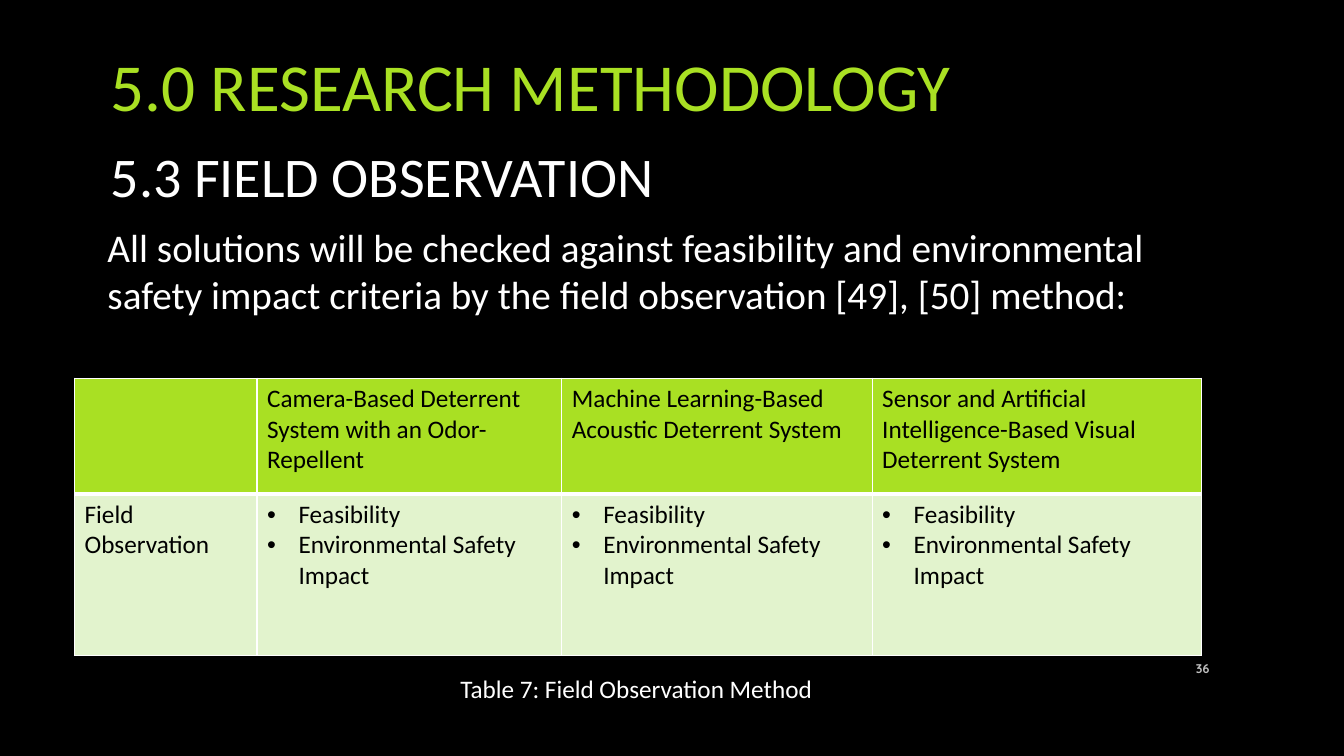
import dataclasses
import pptx
import pptx.dml.color
import pptx.enum.text
import pptx.oxml
import pptx.oxml.ns
import pptx.util

Cm = pptx.util.Cm
Pt = pptx.util.Pt
Align = pptx.enum.text.PP_ALIGN
Anchor = pptx.enum.text.MSO_ANCHOR
Fit = pptx.enum.text.MSO_AUTO_SIZE


@dataclasses.dataclass(frozen=True)
class Theme:
    font: str = "Calibri"
    num_font: str = "Quicksand"
    black: str = "000000"
    white: str = "FFFFFF"
    lime: str = "A9E023"
    pale: str = "E2F3CD"
    gray: str = "BFBFBF"
    title: int = 48
    head: int = 40
    body: int = 28
    small: int = 18
    num: int = 9
    thin: int = 1
    thick: int = 3


def rgb(color):
    return pptx.dml.color.RGBColor.from_string(color)


def add_xml(parent, text):
    space = pptx.oxml.ns.nsdecls("a")
    parent.append(pptx.oxml.parse_xml(text.replace(" ", f" {space} ", 1)))


class Page:
    def __init__(self, deck, theme):
        self.theme = theme
        self.slide = deck.slides.add_slide(deck.slide_layouts[5])
        back = self.slide.background.fill
        back.solid()
        back.fore_color.rgb = rgb(theme.black)

    def add_run(self, para, text, size, color, font=None, bold=False):
        run = para.add_run()
        run.text = text
        run.font.name = font or self.theme.font
        run.font.size = Pt(size)
        run.font.bold = bold
        run.font.color.rgb = rgb(color)

    def title(self, text, left, top, width, height):
        shape = self.slide.shapes.title
        shape.left, shape.top = Cm(left), Cm(top)
        shape.width, shape.height = Cm(width), Cm(height)
        frame = shape.text_frame
        frame.auto_size = Fit.NONE
        frame.vertical_anchor = Anchor.MIDDLE
        para = frame.paragraphs[0]
        para.alignment = Align.LEFT
        self.add_run(para, text, self.theme.title, self.theme.lime)

    def text(self, text, box, size, wrap=True, fit=Fit.SHAPE_TO_FIT_TEXT):
        frame = self.slide.shapes.add_textbox(*map(Cm, box)).text_frame
        frame.word_wrap = wrap
        frame.auto_size = fit
        self.add_run(frame.paragraphs[0], text, size, self.theme.white)

    def number(self, text, box):
        frame = self.slide.shapes.add_textbox(*map(Cm, box)).text_frame
        frame.word_wrap = True
        frame.vertical_anchor = Anchor.MIDDLE
        para = frame.paragraphs[0]
        para.alignment = Align.RIGHT
        theme = self.theme
        self.add_run(para, text, theme.num, theme.gray, theme.num_font, True)

    def bullet(self, para):
        props = para._p.get_or_add_pPr()
        props.set("marL", str(Cm(0.79)))
        props.set("indent", str(-Cm(0.79)))
        add_xml(props, '<a:buFont typeface="Arial"/>')
        add_xml(props, '<a:buChar char="•"/>')

    def border(self, cell, top, bottom):
        props = cell._tc.get_or_add_tcPr()
        thin = self.theme.thin
        for side, width in zip("LRTB", (thin, thin, top, bottom)):
            add_xml(props, f'<a:ln{side} w="{Pt(width)}"><a:solidFill>'
                    f'<a:srgbClr val="{self.theme.white}"/>'
                    f'</a:solidFill></a:ln{side}>')

    def cell(self, cell, lines, fill, top, bottom):
        self.border(cell, top, bottom)
        cell.fill.solid()
        cell.fill.fore_color.rgb = rgb(fill)
        frame = cell.text_frame
        for i, line in enumerate(lines):
            para = frame.add_paragraph() if i else frame.paragraphs[0]
            if len(lines) > 1:
                self.bullet(para)
            self.add_run(para, line, self.theme.small, self.theme.black)

    def table(self, rows, left, top, widths, heights):
        grid = self.slide.shapes.add_table(
            len(rows), len(widths), Cm(left), Cm(top),
            Cm(sum(widths)), Cm(sum(heights))).table
        grid.horz_banding = False
        for col, width in zip(grid.columns, widths):
            col.width = Cm(width)
        for row, height in zip(grid.rows, heights):
            row.height = Cm(height)
        theme = self.theme
        looks = ((theme.lime, theme.thin, theme.thick),
                 (theme.pale, theme.thick, theme.thin))
        for r, (row, look) in enumerate(zip(rows, looks)):
            for c, lines in enumerate(row):
                self.cell(grid.cell(r, c), lines, *look)


def main():
    deck = pptx.Presentation()
    deck.slide_width, deck.slide_height = Cm(33.87), Cm(19.05)
    theme = Theme()
    page = Page(deck, theme)

    systems = ["Camera-Based Deterrent System with an Odor-Repellent",
               "Machine Learning-Based Acoustic Deterrent System",
               "Sensor and Artificial Intelligence-Based Visual "
               "Deterrent System"]
    checks = ["Feasibility", "Environmental Safety Impact"]
    rows = [[[]] + [[name] for name in systems],
            [["Field Observation"]] + [checks] * len(systems)]

    page.table(rows, 1.88, 9.53, (4.6, 7.68, 7.82, 8.31), (2.92, 4.06))
    page.number("36", (29.21, 16.33, 1.52, 1.02))
    page.title("5.0 RESEARCH METHODOLOGY", 2.54, 0.08, 29.59, 4.11)
    page.text("5.3 FIELD OBSERVATION", (2.54, 3.43, 15.37, 1.96), theme.head)
    page.text("All solutions will be checked against feasibility and "
              "environmental safety impact criteria by the field "
              "observation [49], [50] method:",
              (2.46, 5.49, 28.91, 3.43), theme.body, fit=Fit.NONE)
    page.text("Table 7: Field Observation Method",
              (11.35, 16.84, 9.5, 1.02), theme.small, wrap=False)
    deck.save("out.pptx")


if __name__ == "__main__":
    main()
